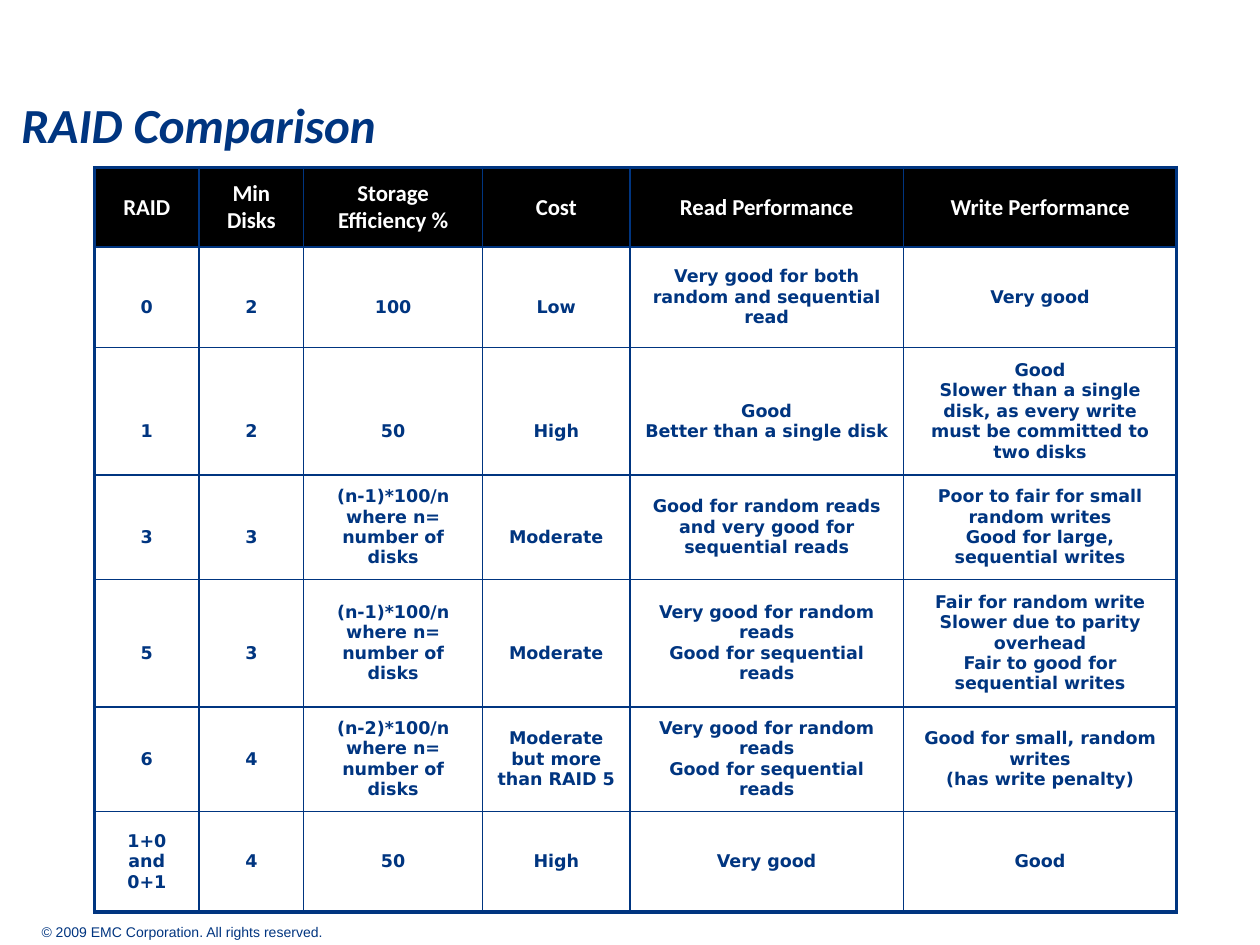
from dataclasses import dataclass

from lxml.etree import SubElement
from pptx import Presentation
from pptx.dml.color import RGBColor as RGB
from pptx.enum.text import MSO_ANCHOR as ANCHOR, MSO_AUTO_SIZE as AUTO, PP_ALIGN as ALIGN
from pptx.oxml.ns import qn
from pptx.util import Inches, Pt


@dataclass(frozen=True)
class Theme:
    blue: str = "003580"
    black: str = "000000"
    white: str = "FFFFFF"
    head_font: str = "Calibri"
    body_font: str = "DejaVu Sans"
    foot_font: str = "Arial"
    title_size: float = 28
    head_size: float = 13
    body_size: float = 10
    foot_size: float = 8
    outer_line: float = 2.25
    inner_line: float = 1


THEME = Theme()
COLUMNS = [0.83, 0.83, 1.42, 1.17, 2.17, 2.17]
ROWS = [0.63, 0.8, 1.01, 0.83, 1.01, 0.83, 0.8]
MARGIN, LINE = 0.05, 0.16  # cell margin and height of one body line

# \n starts a paragraph, \v breaks a line
CELLS = [
    ["RAID", "Min\nDisks", "Storage Efficiency %", "Cost",
     "Read Performance", "Write Performance"],
    ["0", "2", "100", "Low",
     "Very good for both random and sequential read", "Very good"],
    ["1", "2", "50", "High", "Good\nBetter than a single disk",
     "Good\nSlower than a single disk, as every write must be committed to two disks"],
    ["3", "3", "(n-1)*100/n\vwhere n= number of disks", "Moderate",
     "Good for random reads and very good for sequential reads",
     "Poor to fair for small random writes\nGood for large, sequential writes"],
    ["5", "3", "(n-1)*100/n\vwhere n= number of disks", "Moderate",
     "Very good for random reads\nGood for sequential reads",
     "Fair for random write\nSlower due to parity overhead\n"
     "Fair to good for sequential writes"],
    ["6", "4", "(n-2)*100/n\vwhere n= number of disks", "Moderate but more than RAID 5",
     "Very good for random reads\nGood for sequential reads",
     "Good for small, random writes\n(has write penalty)"],
    ["1+0\nand\n0+1", "4", "50", "High", "Very good", "Good"],
]
# Lines by which cells are pushed down, by (row, column)
DROPS = {
    **{(1, c): 1 for c in range(4)},
    **{(2, c): 2 for c in range(4)}, (2, 4): 1,
    **{(r, c): 1 for r in (3, 4) for c in (0, 1, 3)},
}


def style(p, font, size, color, bold=False, italic=False, align=ALIGN.LEFT):
    p.alignment = align
    f = p.font
    f.name, f.size, f.bold, f.italic = font, Pt(size), bold, italic
    f.color.rgb = RGB.from_string(color)


def clear_margins(tf):
    tf.margin_left = tf.margin_top = tf.margin_right = tf.margin_bottom = 0


def set_borders(cell, widths):
    """Draw the cell's sides; the lines come before its fill."""
    tcPr = cell._tc.get_or_add_tcPr()
    for i, (side, width) in enumerate(widths.items()):
        ln = SubElement(tcPr, qn(f"a:ln{side}"), w=str(Pt(width)))
        fill = SubElement(ln, qn("a:solidFill"))
        SubElement(fill, qn("a:srgbClr"), val=THEME.blue)
        tcPr.insert(i, ln)


def add_title(slide, left, top, width, height):
    sp = slide.shapes.title
    sp.left, sp.top, sp.width, sp.height = map(Inches, (left, top, width, height))
    tf = sp.text_frame
    tf.text = "RAID Comparison"
    tf.auto_size = AUTO.NONE
    tf.vertical_anchor = ANCHOR.TOP
    clear_margins(tf)
    style(tf.paragraphs[0], THEME.head_font, THEME.title_size, THEME.blue, True, True)


def fill_cell(cell, text, row, col):
    head = row == 0
    cell.vertical_anchor = ANCHOR.MIDDLE
    cell.margin_top = Inches(MARGIN + LINE * DROPS.get((row, col), 0))
    cell.text_frame.text = text
    for p in cell.text_frame.paragraphs:
        if head:
            style(p, THEME.head_font, THEME.head_size, THEME.white, True, align=ALIGN.CENTER)
        else:
            style(p, THEME.body_font, THEME.body_size, THEME.blue, True, align=ALIGN.CENTER)
    if head:
        cell.fill.solid()
        cell.fill.fore_color.rgb = RGB.from_string(THEME.black)
    else:
        cell.fill.background()
    on_edge = {"L": col == 0, "R": col == len(COLUMNS) - 1,
               "T": head, "B": row == len(ROWS) - 1}
    set_borders(cell, {side: THEME.outer_line if edge else THEME.inner_line
                       for side, edge in on_edge.items()})


def add_comparison(slide, left, top):
    box = map(Inches, (left, top, sum(COLUMNS), sum(ROWS)))
    table = slide.shapes.add_table(len(ROWS), len(COLUMNS), *box).table
    table.horz_banding = False
    for column, width in zip(table.columns, COLUMNS):
        column.width = Inches(width)
    for r, (height, texts) in enumerate(zip(ROWS, CELLS)):
        table.rows[r].height = Inches(height)
        for c, text in enumerate(texts):
            fill_cell(table.cell(r, c), text, r, c)


def add_copyright(slide, left, top, width, height):
    tf = slide.shapes.add_textbox(*map(Inches, (left, top, width, height))).text_frame
    tf.text = "© 2009 EMC Corporation. All rights reserved."
    tf.word_wrap = False
    tf.vertical_anchor = ANCHOR.MIDDLE
    clear_margins(tf)
    style(tf.paragraphs[0], THEME.foot_font, THEME.foot_size, THEME.blue)


def main():
    prs = Presentation()
    prs.slide_width, prs.slide_height = Inches(10), Inches(7.5)
    slide = prs.slides.add_slide(prs.slide_layouts[5])  # title only
    add_copyright(slide, 0.33, 7.31, 2.44, 0.17)
    add_comparison(slide, 0.75, 1.33)
    add_title(slide, 0.17, 0.75, 9.52, 0.5)
    prs.save("out.pptx")


if __name__ == "__main__":
    main()
